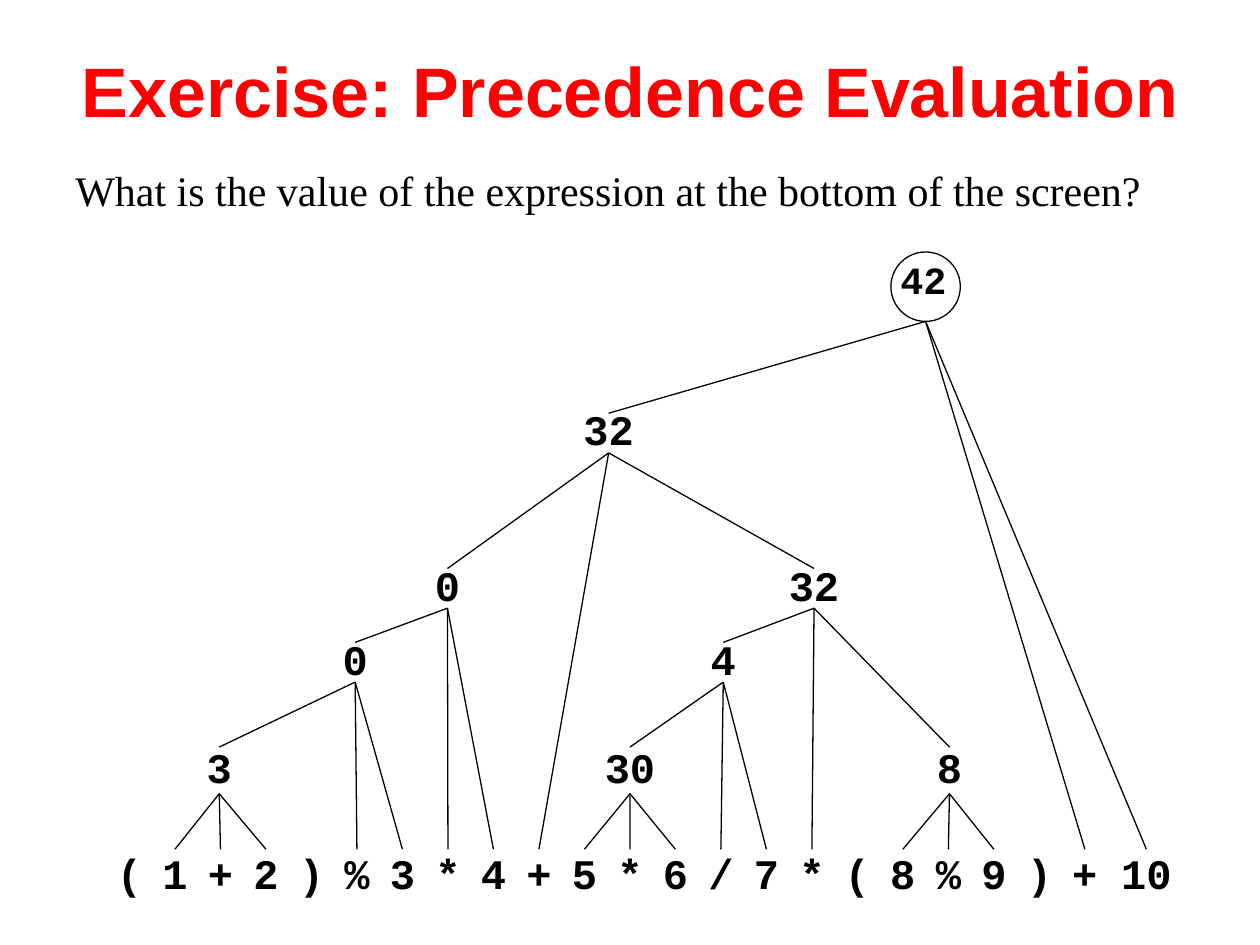
"""Build a slide showing an expression tree evaluated by operator precedence."""
from lxml import etree
from pptx import Presentation
from pptx import util as u
from pptx.dml.color import RGBColor
from pptx.enum import shapes, text
from pptx.oxml.ns import qn

BLACK = RGBColor(0x00, 0x00, 0x00)
WHITE = RGBColor(0xFF, 0xFF, 0xFF)
RED = RGBColor(0xFF, 0x00, 0x00)

TITLE = "Exercise: Precedence Evaluation"
QUESTION = "What is the value of the expression at the bottom of the screen?"
TOKENS = "( 1 + 2 ) % 3 * 4 + 5 * 6 / 7 * ( 8 % 9 ) + 10".split()
FILLED_TOKENS = (21, 22)

# name: (value, centre, level, operands as node names or token indices)
NODES = {
    "sum in brackets": ("3", 4.42, "low", (1, 2, 3)),
    "left remainder": ("0", 7.16, "middle", ("sum in brackets", 5, 6)),
    "left product": ("0", 9.02, "high", ("left remainder", 7, 8)),
    "inner sum": ("32", 12.27, "top", ("left product", 9, "right product")),
    "first product": ("30", 12.7, "low", (10, 11, 12)),
    "quotient": ("4", 14.58, "middle", ("first product", 13, 14)),
    "right product": ("32", 16.41, "high", ("quotient", 15, "right remainder")),
    "right remainder": ("8", 19.14, "low", (17, 18, 19)),
}
ROOT_VALUE = "42"
ROOT_OPERANDS = ("inner sum", 21, 22)

LEVELS = {"low": (15.06, 0.94), "middle": (12.95, 0.8), "high": (11.46, 0.8), "top": (8.33, 0.8)}
BOX_WIDTH = 0.86
TOKEN_TOP, TOKEN_HEIGHT = 17.12, 0.94
FIRST_CENTRE, PLUS_CENTRE, TEN_CENTRE = 2.61, 21.87, 23.11
ROOT_LEFT, ROOT_TOP, ROOT_SIZE = 17.96, 5.08, 1.4


def write(shape, content, size, font_name, color, bold, align, spacing=None):
    frame = shape.text_frame
    frame.text = content
    paragraph = frame.paragraphs[0]
    paragraph.alignment = align
    if spacing:
        paragraph.line_spacing = spacing
    font = paragraph.runs[0].font
    font.size, font.name, font.bold = u.Pt(size), font_name, bold
    font.color.rgb = color


def add_label(slide, content, centre, top, height, spacing=None, filled=False):
    shape = slide.shapes.add_shape(
        shapes.MSO_SHAPE.RECTANGLE,
        u.Cm(centre - BOX_WIDTH / 2), u.Cm(top), u.Cm(BOX_WIDTH), u.Cm(height))
    shape.shadow.inherit = False
    shape.line.fill.background()
    if filled:
        shape.fill.solid()
        shape.fill.fore_color.rgb = WHITE
    else:
        shape.fill.background()
    write(shape, content, 24, "Courier New", BLACK, True, text.PP_ALIGN.CENTER, spacing)
    shape.text_frame.word_wrap = False
    shape.text_frame.vertical_anchor = text.MSO_ANCHOR.MIDDLE
    return shape


def add_branch(slide, parent, child, joined=True):
    connector = slide.shapes.add_connector(
        shapes.MSO_CONNECTOR.STRAIGHT,
        parent.left + parent.width // 2, parent.top + parent.height,
        child.left + child.width // 2, child.top)
    if joined:
        connector.begin_connect(parent, 2)
    connector.end_connect(child, 0)
    connector.line.color.rgb = BLACK
    connector.line.width = u.Pt(0.75)
    etree.SubElement(connector._element.spPr, qn("a:effectLst"))


def add_heading(slide):
    title = slide.shapes.title
    title.left, title.top, title.width, title.height = 0, u.Cm(0.22), u.Cm(25.4), u.Cm(3.18)
    write(title, TITLE, 40, "Arial", RED, True, text.PP_ALIGN.CENTER)
    title.text_frame.auto_size = text.MSO_AUTO_SIZE.NONE
    title.text_frame.vertical_anchor = text.MSO_ANCHOR.MIDDLE
    question = slide.shapes.add_textbox(u.Cm(1.27), u.Cm(3.3), u.Cm(22.86), u.Cm(1.17))
    write(question, QUESTION, 24, "Times New Roman", BLACK, False, text.PP_ALIGN.JUSTIFY, 0.9)
    question.text_frame.word_wrap = True


def add_root(slide):
    circle = slide.shapes.add_shape(
        shapes.MSO_SHAPE.OVAL, u.Cm(ROOT_LEFT), u.Cm(ROOT_TOP), u.Cm(ROOT_SIZE), u.Cm(ROOT_SIZE))
    circle.shadow.inherit = False
    circle.fill.solid()
    circle.fill.fore_color.rgb = WHITE
    circle.line.color.rgb = BLACK
    circle.line.width = u.Pt(0.75)
    label = slide.shapes.add_textbox(u.Cm(17.88), u.Cm(5.18), u.Cm(1.47), u.Cm(1.09))
    write(label, ROOT_VALUE, 22, "Courier New", BLACK, True, text.PP_ALIGN.CENTER, 0.85)
    label.text_frame.word_wrap = True
    return circle


def main():
    presentation = Presentation()
    presentation.slide_width, presentation.slide_height = u.Cm(25.4), u.Cm(19.05)
    slide = presentation.slides.add_slide(presentation.slide_layouts[5])
    add_heading(slide)

    boxes = {}
    last = len(TOKENS) - 1
    pitch = (PLUS_CENTRE - FIRST_CENTRE) / (last - 1)
    for index, token in enumerate(TOKENS):
        centre = TEN_CENTRE if index == last else FIRST_CENTRE + index * pitch
        boxes[index] = add_label(
            slide, token, centre, TOKEN_TOP, TOKEN_HEIGHT, filled=index in FILLED_TOKENS)
    for name, (value, centre, level, _) in NODES.items():
        boxes[name] = add_label(slide, value, centre, *LEVELS[level], spacing=0.85)

    for name, (*_, operands) in NODES.items():
        for operand in operands:
            add_branch(slide, boxes[name], boxes[operand])
    root = add_root(slide)
    for operand in ROOT_OPERANDS:
        add_branch(slide, root, boxes[operand], joined=False)

    presentation.save("out.pptx")


if __name__ == "__main__":
    main()
